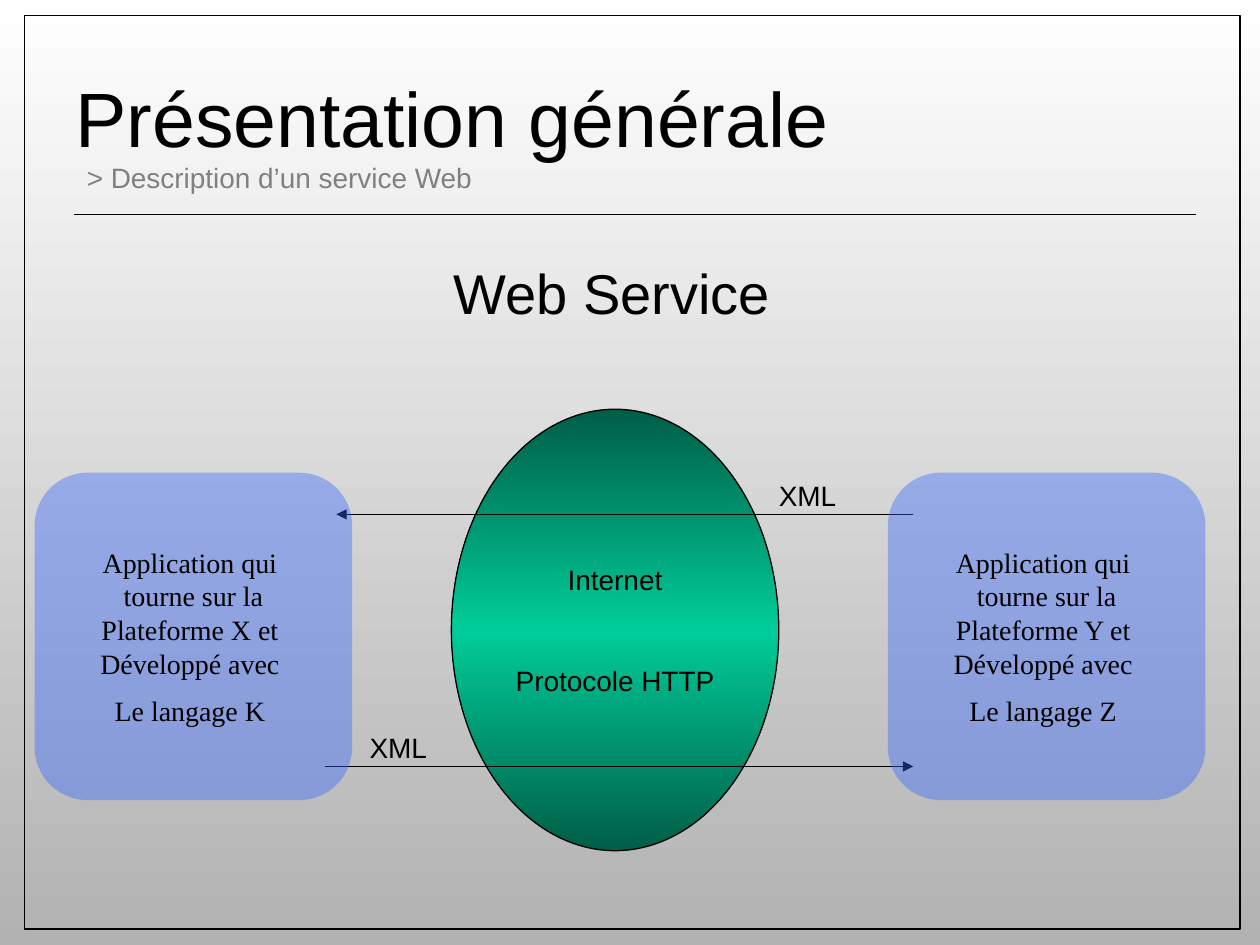
from copy import deepcopy
from lxml.etree import SubElement
from pptx import Presentation
from pptx.dml.color import RGBColor
from pptx.enum.shapes import MSO_CONNECTOR, MSO_SHAPE
from pptx.enum.text import MSO_ANCHOR, PP_ALIGN
from pptx.oxml.ns import qn
from pptx.util import Cm, Pt

HUES = {
    "black": "000000", "grey": "808080", "white": "FFFFFF", "ash": "B2B2B2",
    "pine": "005E47", "mint": "00CC99", "blue": "3366FF",
}


def tint(name):
    return RGBColor.from_string(HUES[name])


def blend(fill, root, names):
    fill.gradient()
    fill.gradient_angle = 270
    stops = root.xpath(".//a:gsLst")[0]
    while len(stops) < len(names):
        stops.append(deepcopy(stops[-1]))
    for i, (stop, name) in enumerate(zip(fill.gradient_stops, names)):
        stop.position = i / (len(names) - 1)
        stop.color.rgb = tint(name)


def write(frame, lines, size, font="Arial", hue="black", align=PP_ALIGN.LEFT):
    frame.text = "\n".join(lines)
    for para in frame.paragraphs:
        para.alignment = align
        for run in para.runs:
            run.font.size = Pt(size)
            run.font.name = font
            run.font.color.rgb = tint(hue)


def label(slide, box, text, size, hue="black", anchor=MSO_ANCHOR.TOP):
    frame = slide.shapes.add_textbox(*map(Cm, box)).text_frame
    frame.word_wrap = True
    frame.vertical_anchor = anchor
    write(frame, [text], size, hue=hue)


def line(slide, start, end, arrow=False):
    link = slide.shapes.add_connector(
        MSO_CONNECTOR.STRAIGHT, *map(Cm, start + end))
    link.line.color.rgb = tint("black")
    link.line.width = Pt(0.75)
    if arrow:
        SubElement(link.line._get_or_add_ln(), qn("a:tailEnd"), type="triangle")
    SubElement(link._element.spPr, qn("a:effectLst"))


def shape(slide, kind, box):
    item = slide.shapes.add_shape(kind, *map(Cm, box))
    item.shadow.inherit = False
    item.line.color.rgb = tint("black")
    item.line.width = Pt(0.75)
    item.text_frame.word_wrap = False
    item.text_frame.vertical_anchor = MSO_ANCHOR.MIDDLE
    return item


def border(slide, box):
    shape(slide, MSO_SHAPE.RECTANGLE, box).fill.background()


def header(slide, box):
    x, y, w, h = box
    label(slide, (x, y, w, 3.18), "Présentation générale", 44,
          anchor=MSO_ANCHOR.MIDDLE)
    label(slide, (x + 0.23, y + 2.36, 16.8, 0.94),
          "> Description d’un service Web", 16, "grey")
    line(slide, (x + 0.23, y + h), (x + w - 0.02, y + h))


def cloud(slide, box):
    oval = shape(slide, MSO_SHAPE.OVAL, box)
    blend(oval.fill, oval._element, ["pine", "mint", "pine"])
    frame = oval.text_frame
    write(frame, ["Internet", "Protocole HTTP"], 16, align=PP_ALIGN.CENTER)
    frame.paragraphs[1].space_before = Pt(38.5)


def links(slide, box):
    x, y, w, h = box
    label(slide, (x + 8.89, y - 0.85, 4, 0.94), "XML", 16)
    label(slide, (x + 0.64, y + h - 0.85, 4, 0.94), "XML", 16)
    line(slide, (x, y + h), (x + w, y + h), True)
    line(slide, (x + w, y), (x + 0.22, y), True)


def app(slide, box, host, code):
    card = shape(slide, MSO_SHAPE.ROUNDED_RECTANGLE, box)
    card.fill.solid()
    card.fill.fore_color.rgb = tint("blue")
    shade = card._element.spPr.xpath("./a:solidFill/a:srgbClr")[0]
    SubElement(shade, qn("a:alpha"), val="40000")
    card.line.fill.background()
    frame = card.text_frame
    write(frame, ["Application qui ", "tourne sur la", f"Plateforme {host} et ",
                  "Développé avec ", f"Le langage {code} "],
          16, "Times New Roman", align=PP_ALIGN.CENTER)
    frame.paragraphs[-1].space_before = Pt(8)


def main():
    deck = Presentation()
    deck.slide_width, deck.slide_height = Cm(25.4), Cm(19.05)
    slide = deck.slides.add_slide(deck.slide_layouts[6])
    blend(slide.background.fill, slide.element, ["white", "ash"])
    header(slide, (1.27, 0.76, 22.86, 3.56))
    border(slide, (0.5, 0.32, 24.5, 18.41))
    cloud(slide, (9.1, 8.25, 6.6, 8.9))
    links(slide, (6.56, 10.37, 11.85, 5.08))
    label(slide, (8.89, 5.08, 8.89, 1.62), "Web Service", 32)
    for x, host, code in [(17.9, "Y", "Z"), (0.7, "X", "K")]:
        app(slide, (x, 9.53, 6.4, 6.6), host, code)
    deck.save("out.pptx")


if __name__ == "__main__":
    main()
